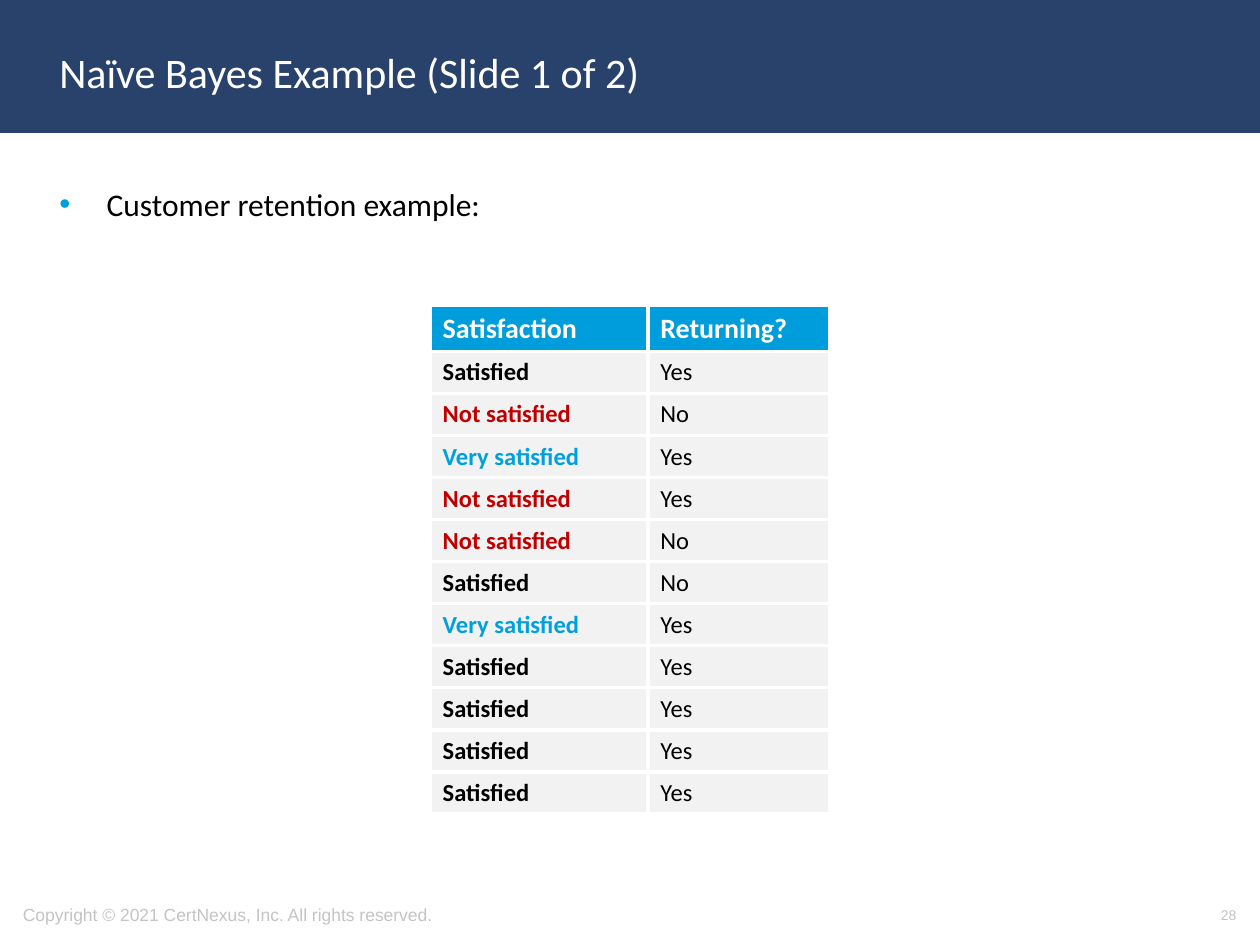
import pptx
import pptx.util
import pptx.dml.color
import pptx.enum.shapes
import pptx.enum.text
import pptx.oxml
import pptx.oxml.ns
from dataclasses import dataclass

Pt = pptx.util.Pt
ALIGN = pptx.enum.text.PP_ALIGN
MIDDLE = pptx.enum.text.MSO_ANCHOR.MIDDLE


@dataclass(frozen=True)
class Theme:
    navy: str = "28426C"
    blue: str = "009DDC"
    very: str = "00A0DD"
    red: str = "C00000"
    black: str = "000000"
    white: str = "FFFFFF"
    band: str = "F2F2F2"
    muted: str = "C4C4C4"
    font: str = "Calibri"
    footer_font: str = "Arial"
    title: int = 24
    body: int = 18
    header: int = 16
    cell: int = 14
    copyright: int = 10
    number: int = 8


theme = Theme()


def rgb(value):
    return pptx.dml.color.RGBColor.from_string(value)


def add_text(tf, text, size, color, bold=False, font=theme.font, align=ALIGN.LEFT):
    p = tf.paragraphs[0]
    p.alignment = align
    p.space_before = Pt(0)
    r = p.add_run()
    r.text = text
    r.font.name = font
    r.font.size = Pt(size)
    r.font.bold = bold
    r.font.color.rgb = rgb(color)
    return p


prs = pptx.Presentation()
prs.slide_width, prs.slide_height = Pt(720), Pt(540)
s = prs.slides.add_slide(prs.slide_layouts[1])

banner = s.shapes.add_shape(pptx.enum.shapes.MSO_SHAPE.RECTANGLE, 0, 0, Pt(720), Pt(75))
banner.shadow.inherit = False
banner.fill.solid()
banner.fill.fore_color.rgb = rgb(theme.navy)
banner.line.color.rgb = rgb(theme.navy)
banner.line.width = Pt(2)
s.shapes._spTree.insert(2, banner._element)

title = s.shapes.title
title.left, title.top, title.width, title.height = Pt(26.7), Pt(8), Pt(620.6), Pt(66.3)
title.text_frame.vertical_anchor = MIDDLE
add_text(title.text_frame, "Naïve Bayes Example (Slide 1 of 2)", theme.title, theme.white)

body = s.placeholders[1]
body.left, body.top, body.width, body.height = Pt(26.7), Pt(102.2), Pt(666), Pt(387.4)
p = add_text(body.text_frame, "Customer retention example:", theme.body, theme.black)
pPr = p._p.get_or_add_pPr()
pPr.set("marL", str(Pt(27)))
pPr.set("indent", str(Pt(-27)))
ns = pptx.oxml.ns.nsdecls("a")
for xml in (
    f'<a:buClr {ns}><a:srgbClr val="{theme.blue}"/></a:buClr>',
    f'<a:buFont {ns} typeface="Arial"/>',
    f'<a:buChar {ns} char="•"/>',
):
    pPr.append(pptx.oxml.parse_xml(xml))

footers = [
    ("Copyright © 2021 CertNexus, Inc. All rights reserved.", 6, 379.4, theme.copyright, ALIGN.LEFT),
    ("28", 545.8, 167.8, theme.number, ALIGN.RIGHT),
]
for text, left, width, size, align in footers:
    sp = s.shapes.add_textbox(Pt(left), Pt(508.3), Pt(width), Pt(28.8))
    tf = sp.text_frame
    tf.word_wrap = True
    tf.vertical_anchor = MIDDLE
    add_text(tf, text, size, theme.muted, font=theme.footer_font, align=align)

rows = [
    ("Satisfaction", "Returning?"),
    ("Satisfied", "Yes"),
    ("Not satisfied", "No"),
    ("Very satisfied", "Yes"),
    ("Not satisfied", "Yes"),
    ("Not satisfied", "No"),
    ("Satisfied", "No"),
    ("Very satisfied", "Yes"),
    ("Satisfied", "Yes"),
    ("Satisfied", "Yes"),
    ("Satisfied", "Yes"),
    ("Satisfied", "Yes"),
]
colors = {"Not satisfied": theme.red, "Very satisfied": theme.very}
header_height, row_height = 25.2, 21.6
table_height = header_height + row_height * (len(rows) - 1)
table = s.shapes.add_table(len(rows), 2, Pt(245.8), Pt(174.3), Pt(228.6), Pt(table_height)).table
table.horz_banding = False
for column, width in zip(table.columns, (124.4, 104.2)):
    column.width = Pt(width)

for i, row in enumerate(rows):
    is_header = i == 0
    table.rows[i].height = Pt(header_height if is_header else row_height)
    for j, text in enumerate(row):
        cell = table.cell(i, j)
        cell.vertical_anchor = MIDDLE
        tcPr = cell._tc.get_or_add_tcPr()
        for side in ("lnL", "lnR", "lnT", "lnB"):
            tcPr.append(pptx.oxml.parse_xml(
                f'<a:{side} {ns} w="{Pt(2.25)}"><a:solidFill>'
                f'<a:srgbClr val="{theme.white}"/></a:solidFill></a:{side}>'
            ))
        cell.fill.solid()
        cell.fill.fore_color.rgb = rgb(theme.blue if is_header else theme.band)
        size = theme.header if is_header else theme.cell
        color = theme.white if is_header else colors.get(text, theme.black)
        add_text(cell.text_frame, text, size, color, bold=is_header or j == 0)

prs.save("out.pptx")
